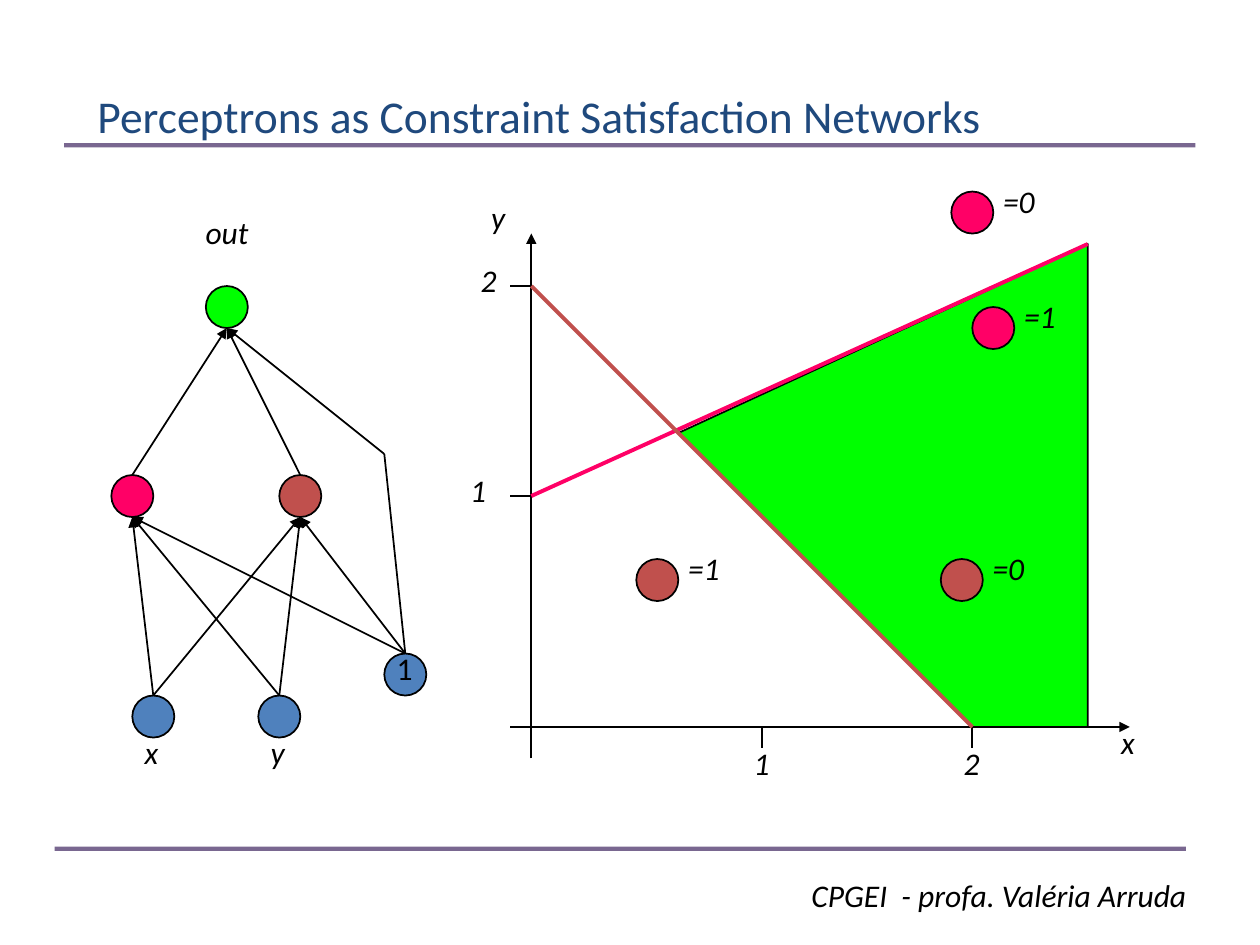
from lxml import etree
from pptx import Presentation
from pptx import util as u
from pptx.dml.color import RGBColor
from pptx.enum import shapes, text
from pptx.oxml.ns import qn

BLACK, GREEN, PINK, RED, BLUE = "000000", "00FF00", "FF0066", "C0504D", "4F81BD"
NAVY, PURPLE = "1F497D", "604A7B"


def color(value):
    return RGBColor.from_string(value)


class Diagram:
    font = "Calibri"
    cell = 1 / 12
    left, top = 0.05, 0.02
    node_size = 4

    def __init__(self, page):
        self.page = page

    def point(self, column, row):
        return (u.Inches(self.left + column * self.cell),
                u.Inches(self.top + row * self.cell))

    def outline(self, shape, ink, weight):
        shape.line.color.rgb = color(ink)
        shape.line.width = u.Pt(weight)

    def line(self, start, end, ink=BLACK, weight=1, arrow=False, opacity=None):
        connector = self.page.shapes.add_connector(
            shapes.MSO_CONNECTOR.STRAIGHT, *self.point(*start), *self.point(*end))
        self.outline(connector, ink, weight)
        properties = connector._element.spPr
        stroke = properties.find(qn("a:ln"))
        if opacity:
            tint = stroke.find(".//" + qn("a:srgbClr"))
            etree.SubElement(tint, qn("a:alpha")).set("val", str(opacity * 1000))
        if arrow:
            etree.SubElement(stroke, qn("a:tailEnd")).set("type", "triangle")
        etree.SubElement(properties, qn("a:effectLst"))

    def paint(self, shape, fill):
        shape.shadow.inherit = False
        shape.fill.solid()
        shape.fill.fore_color.rgb = color(fill)
        self.outline(shape, BLACK, 1)

    def node(self, center, fill):
        column, row = center
        half = self.node_size / 2
        size = u.Inches(self.node_size * self.cell)
        circle = self.page.shapes.add_shape(
            shapes.MSO_SHAPE.OVAL, *self.point(column - half, row - half), size, size)
        self.paint(circle, fill)

    def region(self, corners, fill):
        points = [self.point(*corner) for corner in corners]
        builder = self.page.shapes.build_freeform(*points[0])
        builder.add_line_segments(points[1:], close=True)
        self.paint(builder.convert_to_shape(), fill)

    def label(self, words, corner, columns=4.4, rows=6, size=18, ink=BLACK,
              italic=True, wrap=False, anchor=text.MSO_ANCHOR.TOP):
        box = self.page.shapes.add_textbox(
            *self.point(*corner), u.Inches(columns * self.cell), u.Inches(rows * self.cell))
        frame = box.text_frame
        frame.word_wrap = wrap
        frame.vertical_anchor = anchor
        para = frame.paragraphs[0]
        para.text = words
        para.font.name = self.font
        para.font.size = u.Pt(size)
        para.font.italic = italic
        para.font.color.rgb = color(ink)

    def state(self, center, fill, words):
        self.node(center, fill)
        self.label(words, (center[0] + 1.75, center[1] - 3.5), columns=7)


def draw_frame(diagram):
    for start, row in ((5.5, 13.6), (4.6, 80.6)):
        diagram.line((start, row), (start + 107.75, row), PURPLE, 2.5, opacity=83)
    diagram.label("CPGEI  - profa. Valéria Arruda", (75.5, 82.6), columns=38.5, rows=4.8)
    diagram.label("Perceptrons as Constraint Satisfaction Networks", (7.5, 3.25),
                  columns=106.8, rows=15, size=26, ink=NAVY, italic=False, wrap=True,
                  anchor=text.MSO_ANCHOR.MIDDLE)


def draw_network(diagram):
    output, hidden = (21, 29), {(12, 47): PINK, (28, 47): RED}
    inputs, bias = [(14, 68), (26, 68)], (38, 64)
    half = diagram.node_size / 2

    def above(node):
        return node[0], node[1] - half

    def below(node):
        return node[0], node[1] + half

    diagram.node(output, GREEN)
    for center, fill in hidden.items():
        diagram.node(center, fill)
    for center in [*inputs, bias]:
        diagram.node(center, BLUE)
    for target in hidden:
        for source in [*inputs, bias]:
            diagram.line(above(source), below(target), arrow=True)
        diagram.line(above(target), below(output), arrow=True)
    bend = (36, 43)
    diagram.line(above(bias), bend)
    diagram.line(bend, below(output), arrow=True)
    for words, (column, row) in zip("xy", inputs):
        diagram.label(words, (column - 2, row + 1))
    diagram.label("out", (17.8, 19.5), columns=7.5)
    diagram.label("1", (bias[0] - 2, bias[1] - 3), italic=False)


def draw_plot(diagram):
    origin_x, origin_y = 50, 69
    x_ticks, y_ticks = {"1": 72, "2": 92}, {"1": 47, "2": 27}
    edge = (103, 23)
    diagram.region([(64, 41), edge, (edge[0], origin_y), (x_ticks["2"], origin_y)], GREEN)
    diagram.line((48, origin_y), (107, origin_y), arrow=True)
    diagram.line((origin_x, 72), (origin_x, 22), arrow=True)
    for column in x_ticks.values():
        diagram.line((column, origin_y), (column, origin_y + 2))
    for row in y_ticks.values():
        diagram.line((origin_x, row), (origin_x - 2, row))
    for words, corner in (("x", (105, 68)), ("y", (45, 18)), ("1", (43, 44)),
                          ("2", (44, 24)), ("1", (70, 70)), ("2", (90, 70))):
        diagram.label(words, corner)
    diagram.line((origin_x, y_ticks["1"]), edge, PINK, 2.25)
    diagram.line((origin_x, y_ticks["2"]), (x_ticks["2"], origin_y), RED, 2.25)
    for center, fill, words in (((92, 20), PINK, "=0"), ((94, 31), PINK, "=1"),
                                ((91, 55), RED, "=0"), ((62, 55), RED, "=1")):
        diagram.state(center, fill, words)


def main():
    deck = Presentation()
    deck.slide_width, deck.slide_height = u.Inches(10), u.Inches(7.5)
    diagram = Diagram(deck.slides.add_slide(deck.slide_layouts[6]))
    draw_frame(diagram)
    draw_network(diagram)
    draw_plot(diagram)
    deck.save("out.pptx")


if __name__ == "__main__":
    main()
